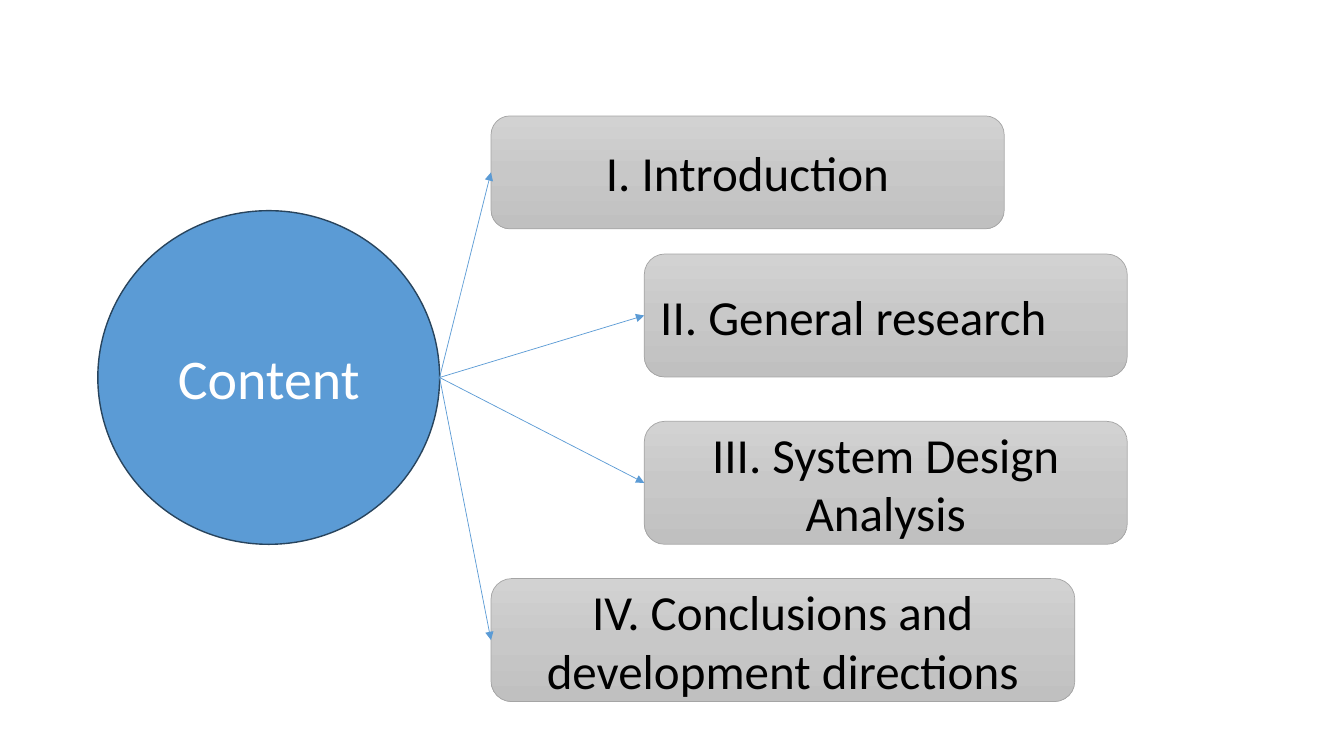
from copy import deepcopy
from dataclasses import dataclass

from lxml import etree
from pptx import Presentation
from pptx.dml.color import RGBColor
from pptx.enum.shapes import MSO_CONNECTOR, MSO_SHAPE
from pptx.enum.text import MSO_ANCHOR, PP_ALIGN
from pptx.oxml.ns import qn
from pptx.util import Inches, Pt

ROUND = MSO_SHAPE.ROUNDED_RECTANGLE
DISC = MSO_SHAPE.FLOWCHART_CONNECTOR
LINE = MSO_CONNECTOR.STRAIGHT
MID = MSO_ANCHOR.MIDDLE
LEFT, CENTER = PP_ALIGN.LEFT, PP_ALIGN.CENTER
BLANK = 6
WEST = 1


@dataclass(frozen=True)
class Theme:
    font: str = "Calibri"
    blue: str = "5B9BD5"
    navy: str = "28445D"
    gray: str = "A5A5A5"
    white: str = "FFFFFF"
    black: str = "000000"
    shades: tuple = ((0, "D2D2D2"), (0.5, "C8C8C8"), (1, "C0C0C0"))
    big: int = 40
    mid: int = 35
    thin: float = 0.5
    edge: float = 1


theme = Theme()


def color(code):
    return RGBColor.from_string(code)


def add_node(kind, spot, text, align, size, ink, rim, width):
    node = slide.shapes.add_shape(kind, *map(Inches, spot))
    node.shadow.inherit = False
    node.line.color.rgb = color(rim)
    node.line.width = Pt(width)
    frame = node.text_frame
    for name, value in {"word_wrap": True, "vertical_anchor": MID}.items():
        setattr(frame, name, value)
    para = frame.paragraphs[0]
    para.alignment = align
    run = para.add_run()
    run.text = text
    look = {"name": theme.font, "size": Pt(size)}
    for name, value in look.items():
        setattr(run.font, name, value)
    run.font.color.rgb = color(ink)
    return node


deck = Presentation()
deck.slide_width, deck.slide_height = Inches(13.33), Inches(7.5)
slide = deck.slides.add_slide(deck.slide_layouts[BLANK])

hub = add_node(DISC, (0.97, 2.09, 3.39, 3.31), "Content", CENTER,
               theme.big, theme.white, theme.navy, theme.edge)
hub.fill.solid()
hub.fill.fore_color.rgb = color(theme.blue)

near, far = 4.87, 6.39
topics = [
    ("I. Introduction", near, 1.15, 5.09, 1.12, CENTER),
    ("II. General research", far, 2.52, 4.79, 1.22, LEFT),
    ("III. System Design Analysis", far, 4.18, 4.79, 1.22, CENTER),
    ("IV. Conclusions and development directions", near, 5.74, 5.79, 1.22, CENTER),
]
boxes = []
for text, *spot, align in topics:
    box = add_node(ROUND, spot, text, align,
                   theme.mid, theme.black, theme.gray, theme.thin)
    box.fill.gradient()
    box.fill.gradient_angle = 270
    stops = box.element.spPr.find(".//" + qn("a:gsLst"))
    stops.insert(1, deepcopy(stops[0]))
    for stop, (place, shade) in zip(box.fill.gradient_stops, theme.shades):
        stop.position = place
        stop.color.rgb = color(shade)
    boxes.append(box)

start = hub.left + hub.width, hub.top + hub.height // 2
for box in boxes:
    arrow = slide.shapes.add_connector(LINE, *start, *start)
    arrow.end_connect(box, WEST)
    arrow.line.color.rgb = color(theme.blue)
    arrow.line.width = Pt(theme.thin)
    etree.SubElement(arrow.line._get_or_add_ln(), qn("a:tailEnd"), type="triangle")
    etree.SubElement(arrow.element.spPr, qn("a:effectLst"))

deck.save("out.pptx")
